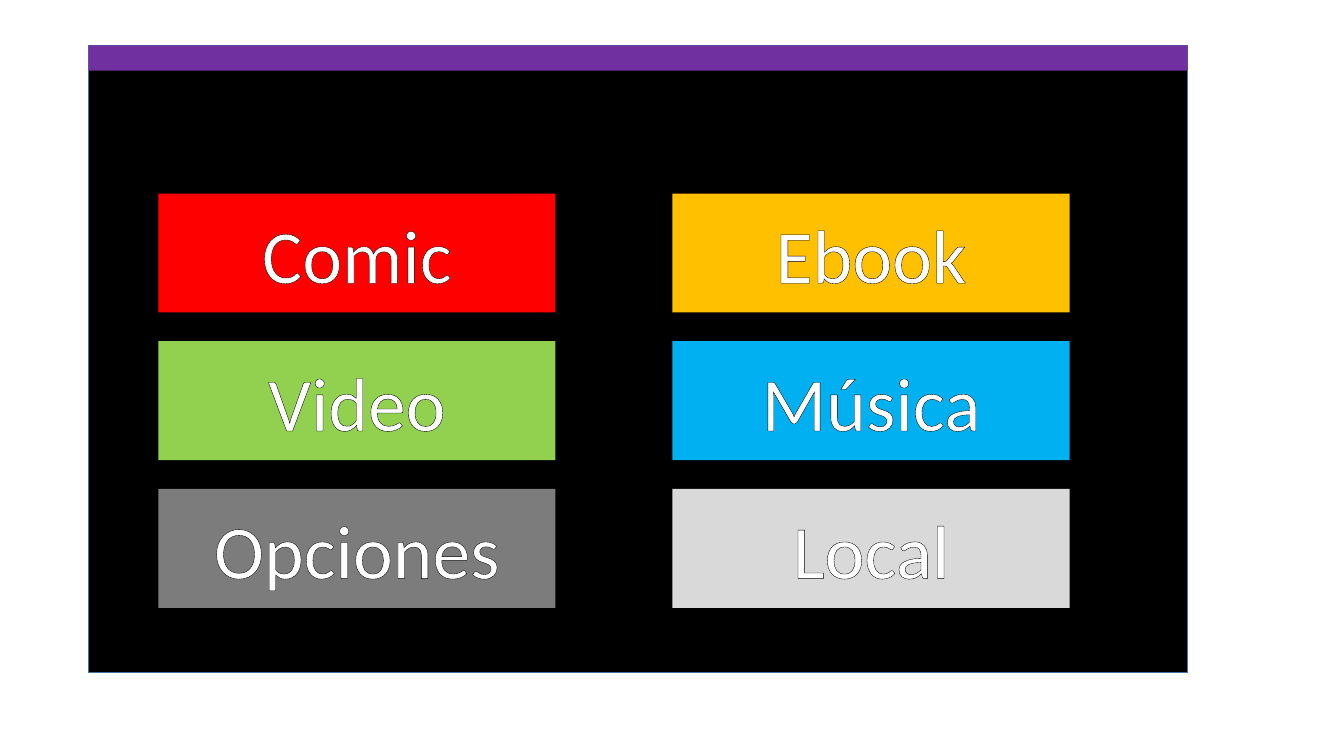
from lxml import etree
from pptx import Presentation
from pptx.dml.color import RGBColor
from pptx.enum import shapes, text
from pptx.oxml.ns import qn
from pptx.util import Inches, Pt

TILES = [
    ("Comic", "FF0000"), ("Ebook", "FFC000"),
    ("Video", "92D050"), ("Música", "00B0F0"),
    ("Opciones", "7C7C7C"), ("Local", "D9D9D9"),
]


def color(code):
    return RGBColor.from_string(code)


def add_rect(parent, box, fill, line=None):
    rect = parent.add_shape(shapes.MSO_SHAPE.RECTANGLE, *map(Inches, box))
    rect.shadow.inherit = False
    rect.fill.solid()
    rect.fill.fore_color.rgb = color(fill)
    if line:
        rect.line.color.rgb = color(line)
        rect.line.width = Pt(1)
    else:
        rect.line.fill.background()
    return rect


def outline(run, code, width):
    # Letter outline, which must come first in the run properties
    props = run._r.get_or_add_rPr()
    line = etree.Element(qn("a:ln"), w=str(Pt(width)))
    fill = etree.SubElement(line, qn("a:solidFill"))
    etree.SubElement(fill, qn("a:srgbClr"), val=code)
    props.insert(0, line)


def add_window(slide, box):
    # Black screen with a purple bar along its top
    left, top, width, height = box
    group = slide.shapes.add_group_shape()
    add_rect(group.shapes, box, "000000", "43739E")
    add_rect(group.shapes, (left, top, width, 0.25), "7030A0")


def add_tile(slide, box, label, fill):
    tile = add_rect(slide.shapes, box, fill)
    frame = tile.text_frame
    frame.word_wrap = True
    frame.vertical_anchor = text.MSO_ANCHOR.MIDDLE
    para = frame.paragraphs[0]
    para.alignment = text.PP_ALIGN.CENTER
    para.font.name = "Calibri"
    para.font.size = Pt(54)
    para.font.color.rgb = color("FFFFFF")
    run = para.add_run()
    run.text = label
    outline(run, "000000", 0.75)


def add_menu(slide, box):
    # Two columns by three rows, spread over the box
    left, top, width, height = box
    wide, high = 3.94, 1.18
    step_x = width - wide
    step_y = (height - high) / 2
    for i, (label, fill) in enumerate(TILES):
        row, col = divmod(i, 2)
        spot = (left + col * step_x, top + row * step_y, wide, high)
        add_tile(slide, spot, label, fill)


def main():
    deck = Presentation()
    deck.slide_width = Inches(13.33)
    deck.slide_height = Inches(7.5)
    slide = deck.slides.add_slide(deck.slide_layouts[6])
    add_window(slide, (0.88, 0.45, 10.9, 6.22))
    add_menu(slide, (1.57, 1.92, 9.04, 4.11))
    deck.save("out.pptx")


if __name__ == "__main__":
    main()
